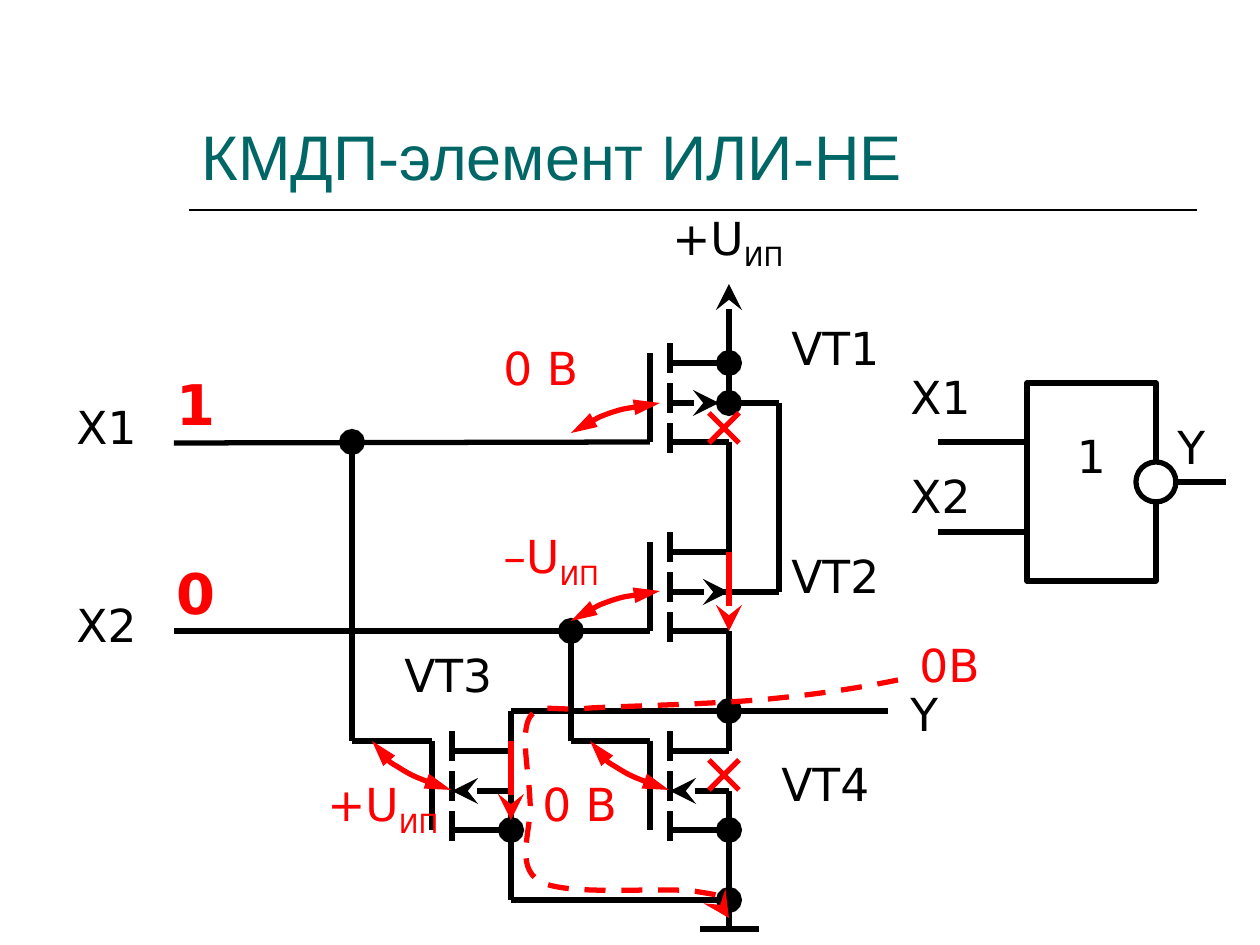
from dataclasses import dataclass

from pptx import Presentation
from pptx.dml.color import RGBColor
from pptx.enum.dml import MSO_LINE
from pptx.enum.shapes import MSO_CONNECTOR, MSO_SHAPE
from pptx.enum.text import MSO_ANCHOR, PP_ALIGN
from pptx.oxml.ns import qn
from pptx.util import Emu, Pt
from lxml import etree

STRAIGHT = MSO_CONNECTOR.STRAIGHT
RECTANGLE, OVAL = MSO_SHAPE.RECTANGLE, MSO_SHAPE.OVAL
DASH = MSO_LINE.DASH
TOP, MIDDLE, BOTTOM = MSO_ANCHOR.TOP, MSO_ANCHOR.MIDDLE, MSO_ANCHOR.BOTTOM
CENTER = PP_ALIGN.CENTER
RIGHT_SIDE = 3
EMU_PER_PX = 914400 / 126

# Line ends: type, width, length
ARROW = ("stealth", "lg", "lg")
TRIANGLE = ("triangle", "med", "lg")
DOT = ("oval", "lg", "lg")


@dataclass(frozen=True)
class Theme:
    black: RGBColor = RGBColor(0, 0, 0)
    white: RGBColor = RGBColor(255, 255, 255)
    red: RGBColor = RGBColor(255, 0, 0)
    teal: RGBColor = RGBColor(0, 0x66, 0x66)
    title_font: str = "Arial"
    label_font: str = "DejaVu Sans"
    title_size: int = 36
    signal_size: int = 32
    label_size: int = 26
    wire: int = 3
    rule: int = 1


THEME = Theme()


def px(length):
    return Emu(round(length * EMU_PER_PX))


class Circuit:
    def __init__(self, slide, theme):
        self.slide = slide
        self.theme = theme

    def stroke(self, shape, color, width, head=None, tail=None, dash=None):
        shape.line.color.rgb = color
        shape.line.width = Pt(width)
        if dash:
            shape.line.dash_style = dash
        line = shape.line._get_or_add_ln()
        for tag, end in (("a:headEnd", head), ("a:tailEnd", tail)):
            if end:
                etree.SubElement(line, qn(tag), dict(zip(("type", "w", "len"), end)))

    def wire(self, start, end, head=None, tail=None, color=None, width=None):
        connector = self.slide.shapes.add_connector(
            STRAIGHT, *(px(value) for value in (*start, *end)))
        self.stroke(connector, color or self.theme.black,
                    width or self.theme.wire, head, tail)
        etree.SubElement(connector._element.spPr, qn("a:effectLst"))
        return connector

    def curve(self, points, head=None, tail=None, dash=None):
        """Draw a red Bezier line: a start point, then three points per segment."""
        builder = self.slide.shapes.build_freeform(*points[0], scale=EMU_PER_PX)
        builder.add_line_segments(points[1:], close=False)
        shape = builder.convert_to_shape()
        segments = list(shape._element.iter(qn("a:lnTo")))
        for first in range(0, len(segments), 3):
            triple = segments[first:first + 3]
            bezier = etree.SubElement(triple[0].getparent(), qn("a:cubicBezTo"))
            for segment in triple:
                bezier.append(segment[0])
                segment.getparent().remove(segment)
        shape.shadow.inherit = False
        shape.fill.background()
        self.stroke(shape, self.theme.red, self.theme.wire, head, tail, dash)

    def outline(self, kind, left, top, width, height):
        shape = self.slide.shapes.add_shape(
            kind, px(left), px(top), px(width), px(height))
        shape.shadow.inherit = False
        shape.fill.solid()
        shape.fill.fore_color.rgb = self.theme.white
        self.stroke(shape, self.theme.black, self.theme.wire)
        return shape

    def add_text(self, paragraph, text, color=None, size=None, font=None,
                 bold=False, subscript=False):
        run = paragraph.add_run()
        run.text = text
        run.font.name = font or self.theme.label_font
        run.font.size = Pt(size or self.theme.label_size)
        run.font.color.rgb = color or self.theme.black
        run.font.bold = bold
        if subscript:
            run.font._element.set("baseline", "-25000")

    def label(self, left, top, width, height, text, subscript="",
              anchor=TOP, **style):
        box = self.slide.shapes.add_textbox(
            px(left), px(top), px(width), px(height))
        frame = box.text_frame
        frame.word_wrap = True
        frame.vertical_anchor = anchor
        paragraph = frame.paragraphs[0]
        self.add_text(paragraph, text, **style)
        if subscript:
            self.add_text(paragraph, subscript, subscript=True, **style)

    def transistor(self, gate, top, body_start, body_end):
        """Draw a MOSFET; its body arrow points at body_end."""
        channel, rail = gate + 20, gate + 79
        self.wire((gate, top - 10), (gate, top + 79))
        for offset in (-20, 20, 60):
            self.wire((channel, top + offset), (channel, top + offset + 30))
        for y in (top, top + 79):
            self.wire((channel, y), (rail, y))
        self.wire((body_start, top + 40), (body_end, top + 40), tail=ARROW)

    def cross(self, left, top, size=30):
        right, bottom = left + size, top + size
        self.wire((left, top), (right, bottom), color=self.theme.red)
        self.wire((left, bottom), (right, top), color=self.theme.red)


def draw_schematic(circuit):
    for gate, top, body_start, body_end in (
            (650, 363, 670, 719), (650, 552, 670, 729),
            (432, 751, 511, 452), (650, 751, 729, 670)):
        circuit.transistor(gate, top, body_start, body_end)

    for start, end in (
            ((174, 443), (650, 442)), ((174, 631), (650, 631)),
            ((352, 741), (432, 741)), ((571, 741), (650, 741)),
            ((729, 442), (729, 552)), ((729, 631), (729, 751)),
            ((729, 791), (729, 830)), ((511, 791), (511, 830)),
            ((511, 711), (511, 751)), ((511, 711), (729, 711)),
            ((719, 592), (779, 592)), ((779, 403), (779, 592)),
            ((700, 929), (759, 929))):
        circuit.wire(start, end)

    for start, node in (
            ((352, 741), (352, 442)), ((571, 741), (571, 631)),
            ((729, 403), (729, 363)), ((779, 403), (729, 403)),
            ((888, 711), (729, 711)), ((511, 900), (511, 830)),
            ((729, 929), (729, 830)), ((511, 900), (729, 900))):
        circuit.wire(start, node, tail=DOT)
    circuit.wire((729, 363), (729, 284), tail=ARROW)

    circuit.label(660, 204, 159, 76, "+U", "ИП")
    for left, top, text in (
            (64, 393, "X1"), (64, 591, "X2"), (898, 680, "Y"),
            (779, 314, "VT1"), (779, 542, "VT2"),
            (392, 641, "VT3"), (769, 750, "VT4")):
        circuit.label(left, top, 128, 68, text)


def draw_signals(circuit):
    red = circuit.theme.red
    for top, text in ((363, "1"), (552, "0")):
        circuit.label(164, top, 69, 81, text, color=red,
                      size=circuit.theme.signal_size, bold=True)
    for left, top, text, subscript in (
            (491, 334, "0 В", ""), (491, 522, "–U", "ИП"),
            (315, 770, "+U", "ИП"), (530, 770, "0 В", ""),
            (907, 631, "0В", "")):
        circuit.label(left, top, 159, 68, text, subscript, color=red)

    upper_arc = [(660, 403), (643, 406), (625, 408), (610, 413),
                 (596, 418), (583, 426), (571, 433)]
    lower_arc = [(372, 741), (378, 750), (386, 760), (398, 767),
                 (412, 776), (432, 784), (451, 790)]
    for arc, shift_x, shift_y in (
            (upper_arc, 0, 0), (upper_arc, 0, 188),
            (lower_arc, 0, 0), (lower_arc, 218, 0)):
        circuit.curve([(x + shift_x, y + shift_y) for x, y in arc],
                      head=TRIANGLE, tail=TRIANGLE)

    for x, top in ((511, 741), (729, 552)):
        circuit.wire((x, top), (x, top + 79), tail=ARROW, color=red)
    for top in (413, 760):
        circuit.cross(709, top)

    circuit.curve([
        (898, 680), (859, 688), (820, 694), (769, 699),
        (718, 704), (630, 706), (591, 708), (551, 712), (541, 702), (530, 717),
        (520, 733), (529, 772), (530, 800), (533, 828), (513, 867), (541, 882),
        (570, 897), (668, 886), (699, 892), (731, 897), (723, 915), (729, 918),
    ], tail=ARROW, dash=DASH)


def draw_gate_symbol(circuit):
    gate = circuit.outline(RECTANGLE, 1027, 383, 129, 198)
    frame = gate.text_frame
    frame.word_wrap = False
    frame.vertical_anchor = MIDDLE
    frame.margin_bottom = px(59)
    paragraph = frame.paragraphs[0]
    paragraph.alignment = CENTER
    circuit.add_text(paragraph, "1")

    output = circuit.wire((1156, 482), (1226, 482))
    output.begin_connect(gate, RIGHT_SIDE)
    circuit.outline(OVAL, 1136, 462, 40, 40)
    for y in (442, 532):
        circuit.wire((938, y), (1027, y))
    for left, top, width, text in (
            (898, 363, 118, "X1"), (898, 462, 118, "X2"), (1165, 413, 79, "Y")):
        circuit.label(left, top, width, 68, text)


def main():
    presentation = Presentation()
    presentation.slide_width, presentation.slide_height = px(1260), px(945)
    slide = presentation.slides.add_slide(presentation.slide_layouts[6])
    circuit = Circuit(slide, THEME)
    circuit.wire((189, 210), (1197, 210), width=THEME.rule)
    circuit.label(189, 42, 1008, 157, "КМДП-элемент ИЛИ-НЕ", anchor=BOTTOM,
                  color=THEME.teal, size=THEME.title_size, font=THEME.title_font)
    draw_schematic(circuit)
    draw_signals(circuit)
    draw_gate_symbol(circuit)
    presentation.save("out.pptx")


if __name__ == "__main__":
    main()
